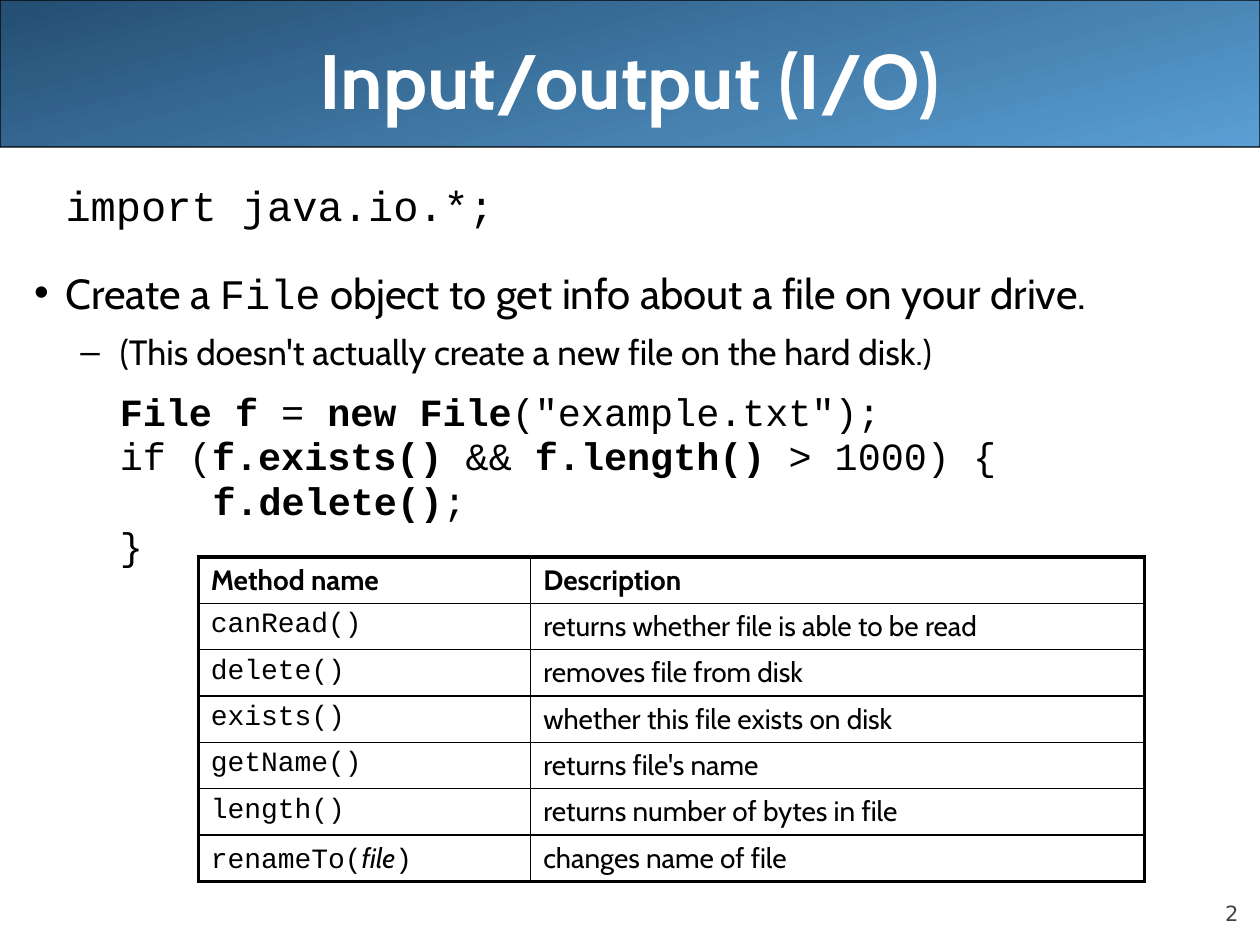
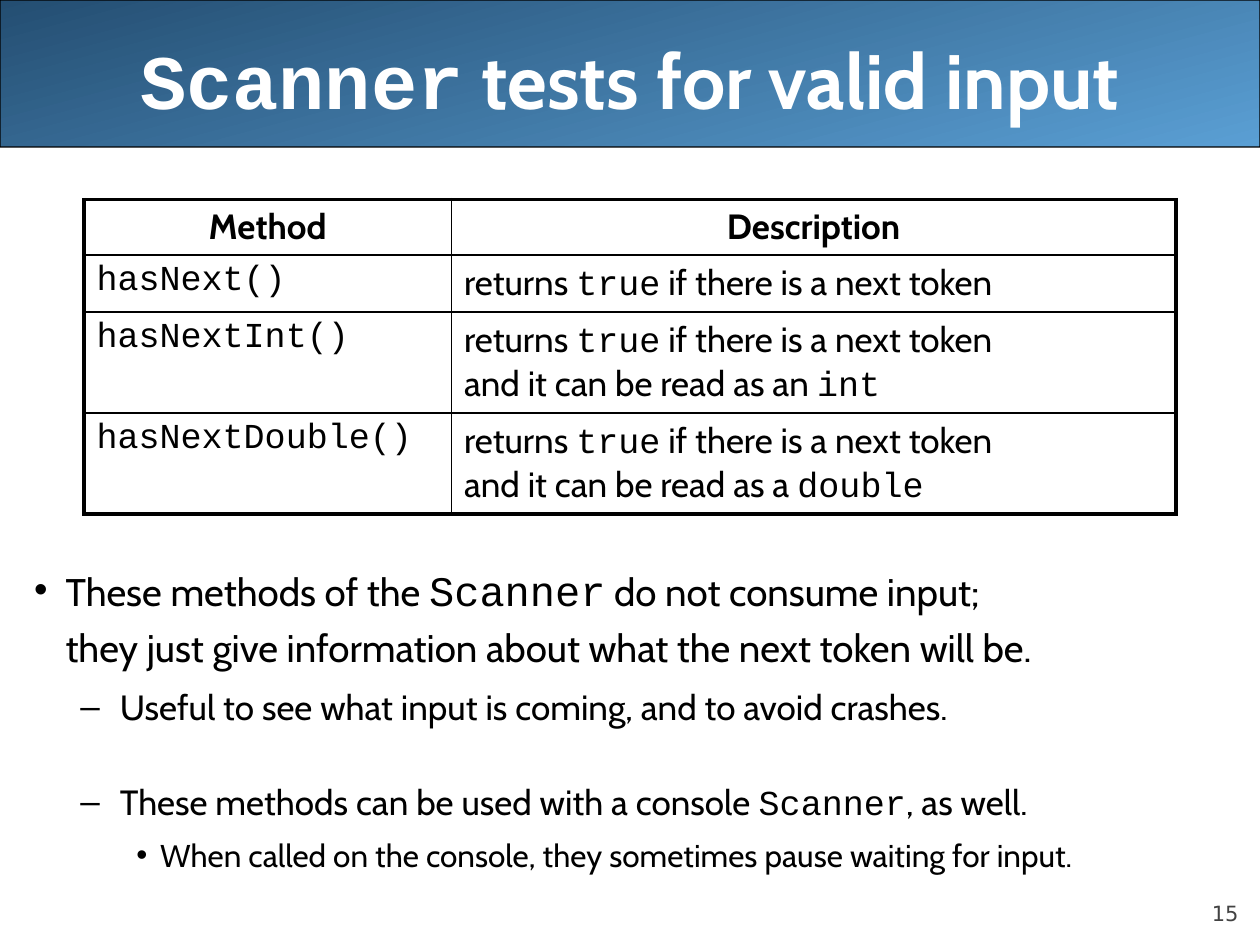
from copy import deepcopy
from itertools import groupby

from lxml import etree
from pptx import Presentation
from pptx.dml.color import RGBColor
from pptx.enum.shapes import MSO_SHAPE as Shape
from pptx.enum.text import MSO_ANCHOR as Anchor, MSO_AUTO_SIZE as AutoSize, PP_ALIGN as Align
from pptx.oxml.ns import qn
from pptx.util import Pt

# Shared look
SANS, MONO, NUMBER_FONT = "Cabin", "Courier New", "DejaVu Sans"
BLACK, WHITE, GREY = "000000", "FFFFFF", "424242"
BAND_DARK, BAND_LIGHT = "244E72", "5A9FD4"
PAGE_WIDTH, PAGE_HEIGHT = 720, 540
BAND_BOX = (0, 0, PAGE_WIDTH, 84)
TITLE_BOX = (36, 0, 648, 90)
BODY_BOX = (12.24, 102.24, 707.76, 408.24)
NUMBER_BOX = (648, 500.4, 59.76, 28.8)
OUTER_LINE, INNER_LINE = 2.25, 1

# Marks that switch a format on and off inside the wording
MARKS = {"`": "mono", "~": "bold", "_": "italic"}

# Paragraph kinds: level, left margin, first-line indent, bullet
KINDS = {
    "import": (0, 18, 0, None),
    "point": (0, 18, -18, "•"),
    "dash": (1, 49, -22.5, "–"),
    "code": (1, 49, 0, None),
    "nested code": (1, 102, 0, None),
    "detail": (2, 72, -13.5, "•"),
}

# Content; body rows are kind, wording, size, line spacing, space before
SLIDES = [
    {
        "number": "2",
        "title": "Input/output (I/O)",
        "body_inset": 3.6,
        "body": [
            ("import", "`import java.io.*;`", 24, 0.9, 0),
            ("point", "Create a `File` object to get info about a file on your drive.",
             24, 1.1, 18),
            ("dash", "(This doesn't actually create a new file on the hard disk.)",
             20, 1.1, 4.8),
            ("code", "`~File f~ = ~new File~(\"example.txt\");`", 22, 0.8, 14.1),
            ("code", "`if (~f.exists()~ && ~f.length()~ > 1000) {`", 22, 0.8, 4.4),
            ("nested code", "`~f.delete()~;`", 22, 0.8, 4.4),
            ("code", "`}`", 22, 0.8, 4.4),
        ],
        "table": {
            "at": (113.3, 318.24),
            "columns": (190, 350.6),
            "heights": [26.5] * 7,
            "size": 16,
            "fill": WHITE,
            "header_align": Align.LEFT,
            "rows": [
                ("Method name", "Description"),
                ("`canRead()`", "returns whether file is able to be read"),
                ("`delete()`", "removes file from disk"),
                ("`exists()`", "whether this file exists on disk"),
                ("`getName()`", "returns file's name"),
                ("`length()`", "returns number of bytes in file"),
                ("`renameTo(`_file_`)`", "changes name of file"),
            ],
        },
    },
    {
        "number": "15",
        "title": "`Scanner` tests for valid input",
        "body_inset": 214.5,
        "body": [
            ("point", "These methods of the `Scanner` do not consume input;\n"
             "they just give information about what the next token will be.", 22, 1.2, 0),
            ("dash", "Useful to see what input is coming, and to avoid crashes.", 20, 1.2, 4),
            ("dash", "These methods can be used with a console `Scanner`, as well.",
             20, 1.2, 25.3),
            ("detail", "When called on the console, they sometimes pause waiting for input.",
             18, 1.2, 3.6),
        ],
        "mono_size": 24,
        "table": {
            "at": (48, 114),
            "columns": (210, 414),
            "heights": [31.8, 32.6, 57.7, 57.7],
            "size": 20,
            "fill": None,
            "header_align": Align.CENTER,
            "rows": [
                ("Method", "Description"),
                ("`hasNext()`", "returns `true` if there is a next token"),
                ("`hasNextInt()`", "returns `true` if there is a next token\n"
                 "and it can be read as an `int`"),
                ("`hasNextDouble()`", "returns `true` if there is a next token\n"
                 "and it can be read as a `double`"),
            ],
        },
    },
]


def color(hex_code):
    return RGBColor.from_string(hex_code)


def points(values):
    return [Pt(value) for value in values]


def place(shape, box):
    shape.left, shape.top, shape.width, shape.height = points(box)


def split_spans(wording):
    """Cut marked wording into (text, set of active formats)."""
    active, letters = frozenset(), []
    for letter in wording:
        if letter in MARKS:
            active = active ^ {MARKS[letter]}
        else:
            letters.append((letter, active))
    for formats, group in groupby(letters, key=lambda pair: pair[1]):
        yield "".join(letter for letter, _ in group), formats


def write(para, wording, size, font=SANS, ink=BLACK, bold=False, mono_size=None,
          align=Align.LEFT, spacing=None, before=0):
    para.alignment = align
    para.space_before = Pt(before)
    if spacing:
        para.line_spacing = spacing
    for text, formats in split_spans(wording):
        mono = "mono" in formats
        for index, line in enumerate(text.split("\n")):
            if index:
                para.add_line_break()
                para._p[-1].append(deepcopy(span._r.rPr))
            span = para.add_run()
            span.text = line
            span.font.name = MONO if mono else font
            span.font.size = Pt(mono_size if mono and mono_size else size)
            span.font.bold = bold or "bold" in formats
            span.font.italic = "italic" in formats
            span.font.color.rgb = color(ink)


def set_kind(para, kind):
    level, margin, indent, bullet = KINDS[kind]
    para.level = level
    props = para._p.get_or_add_pPr()
    props.set("marL", str(Pt(margin)))
    props.set("indent", str(Pt(indent)))
    if bullet:
        etree.SubElement(props, qn("a:buChar")).set("char", bullet)
    else:
        etree.SubElement(props, qn("a:buNone"))


def add_band(page):
    band = page.shapes.add_shape(Shape.ROUNDED_RECTANGLE, *points(BAND_BOX))
    band.adjustments[0] = 0.001
    band.shadow.inherit = False
    band.fill.gradient()
    band.fill.gradient_angle = 285
    for stop, position, hex_code in zip(band.fill.gradient_stops, (0, 1),
                                        (BAND_DARK, BAND_LIGHT)):
        stop.position = position
        stop.color.rgb = color(hex_code)
    band.line.color.rgb = color(BLACK)
    band.line.width = Pt(0.75)
    # Send the band behind the title
    page.shapes._spTree.insert(2, band._element)


def add_number(page, number):
    box = page.shapes.add_textbox(*points(NUMBER_BOX))
    frame = box.text_frame
    frame.word_wrap = True
    frame.vertical_anchor = Anchor.BOTTOM
    frame.margin_left = frame.margin_right = frame.margin_top = frame.margin_bottom = 0
    write(frame.paragraphs[0], number, 12, font=NUMBER_FONT, ink=GREY, align=Align.RIGHT)


def fill_title(page, wording):
    title = page.shapes.title
    place(title, TITLE_BOX)
    title.text_frame.auto_size = AutoSize.NONE
    title.text_frame.vertical_anchor = Anchor.MIDDLE
    write(title.text_frame.paragraphs[0], wording, 44, ink=WHITE, bold=True,
          align=Align.CENTER)


def fill_body(page, rows, top_inset, mono_size=None):
    body = page.placeholders[1]
    place(body, BODY_BOX)
    frame = body.text_frame
    frame.auto_size = AutoSize.NONE
    frame.margin_top = Pt(top_inset)
    for index, (kind, wording, size, spacing, before) in enumerate(rows):
        para = frame.add_paragraph() if index else frame.paragraphs[0]
        write(para, wording, size, spacing=spacing, before=before,
              mono_size=mono_size if kind == "point" else None)
        set_kind(para, kind)


def set_borders(cell, widths):
    props = cell._tc.get_or_add_tcPr()
    for side, width in widths.items():
        line = etree.SubElement(props, qn(f"a:ln{side}"), w=str(Pt(width)))
        solid = etree.SubElement(line, qn("a:solidFill"))
        etree.SubElement(solid, qn("a:srgbClr"), val=BLACK)


def add_method_table(page, data):
    rows, columns, heights = data["rows"], data["columns"], data["heights"]
    table = page.shapes.add_table(len(rows), len(columns), *points(
        (*data["at"], sum(columns), sum(heights)))).table
    table.first_row = table.horz_banding = False
    for column, width in zip(table.columns, columns):
        column.width = Pt(width)
    for row, height in zip(table.rows, heights):
        row.height = Pt(height)
    last_row, last_column = len(rows) - 1, len(columns) - 1
    for r, row in enumerate(rows):
        for c, wording in enumerate(row):
            cell = table.cell(r, c)
            edges = {"L": c == 0, "R": c == last_column, "T": r == 0, "B": r == last_row}
            set_borders(cell, {side: OUTER_LINE if outer else INNER_LINE
                               for side, outer in edges.items()})
            if data["fill"]:
                cell.fill.solid()
                cell.fill.fore_color.rgb = color(data["fill"])
            else:
                cell.fill.background()
            write(cell.text_frame.paragraphs[0], wording, data["size"], bold=r == 0,
                  align=Align.LEFT if r else data["header_align"])


def main():
    deck = Presentation()
    deck.slide_width, deck.slide_height = Pt(PAGE_WIDTH), Pt(PAGE_HEIGHT)
    for content in SLIDES:
        page = deck.slides.add_slide(deck.slide_layouts[1])
        add_band(page)
        add_number(page, content["number"])
        fill_title(page, content["title"])
        fill_body(page, content["body"], content["body_inset"], content.get("mono_size"))
        add_method_table(page, content["table"])
    deck.save("out.pptx")


if __name__ == "__main__":
    main()
